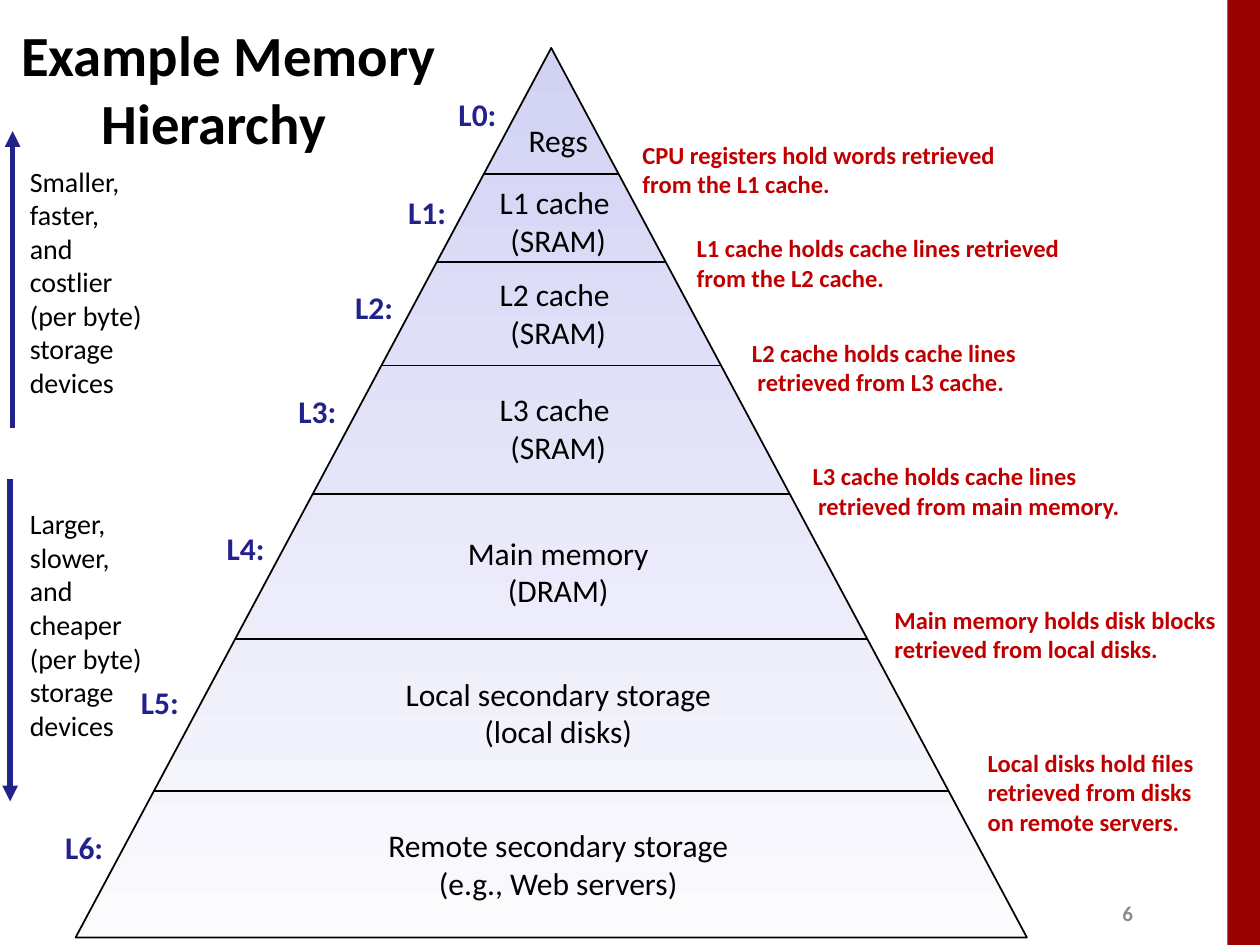
from lxml import etree
from pptx import Presentation
from pptx import util as u
from pptx.dml import color
from pptx.enum import shapes, text
from pptx.oxml import ns

FONT = "Calibri"
BLACK, BLUE, RED = "000000", "22228B", "C00000"
APEX_X, APEX_Y = 315, 27.4
PYRAMID_WIDTH, PYRAMID_HEIGHT = 543.6, 508.3
CAPTION_X = 319

# caption lines, caption (top, width, height), label (left, top), tier bottom
TIERS = [
    (["Regs"], (65.5, 49, 29), (254.9, 50.4), 99.4),
    (["L1 cache ", "(SRAM)"], (100.8, 83, 51), (226.1, 106.6), 149.8),
    (["L2 cache ", "(SRAM)"], (153.4, 83, 51), (195.8, 160.6), 208.8),
    (["L3 cache ", "(SRAM)"], (218.9, 83, 51), (163.4, 220.3), 282.2),
    (["Main memory", "(DRAM)"], (301, 119, 51), (122.4, 298.8), 365),
    (["Local secondary storage", "(local disks)"], (381.6, 192, 51), (73.4, 386.6), 452.2),
    (["Remote secondary storage", "(e.g., Web servers)"], (468, 212, 51), (30.2, 469.4), None),
]

NOTES = [
    (["CPU registers hold words retrieved from the L1 cache."], (360, 76.3, 229.7, 41)),
    (["L1 cache holds cache lines retrieved from the L2 cache."], (391, 129.6, 223.2, 41)),
    (["L2 cache holds cache lines", " retrieved from L3 cache."], (422.6, 189.4, 207.4, 41)),
    (["L3 cache holds cache lines", " retrieved from main memory."], (457.2, 260, 226.8, 41)),
    (["Main memory holds disk blocks retrieved from local disks."], (504, 342, 200.9, 41)),
    (["Local disks hold files retrieved from disks", "on remote servers."], (557.3, 423.4, 162.7, 58.3)),
]

TRENDS = [
    (["Smaller,", "faster,", "and", "costlier", "(per byte)", "storage", "devices"],
     (10, 89.3, 79.2, 143.3), (7.2, 244.8), (7.2, 74.9)),
    (["Larger,", "slower,", "and", "cheaper", "(per byte)", "storage", "devices"],
     (10, 285.1, 79.2, 143.3), (5.8, 273.6), (5.8, 457.9)),
]


def rgb(value):
    return color.RGBColor.from_string(value)


def assign(target, values):
    for name, value in values.items():
        setattr(target, name, value)


def add_text(page, lines, place, size, ink=BLACK, bold=False, wrap=True,
             align=text.PP_ALIGN.LEFT, indents=()):
    box = page.shapes.add_textbox(*map(u.Pt, place))
    frame = box.text_frame
    assign(frame, {"word_wrap": wrap, "vertical_anchor": text.MSO_ANCHOR.MIDDLE,
                   "auto_size": text.MSO_AUTO_SIZE.NONE})
    for index, line in enumerate(lines):
        para = frame.add_paragraph() if index else frame.paragraphs[0]
        para.alignment = align
        span = para.add_run()
        span.text = line
        assign(span.font, {"name": FONT, "size": u.Pt(size), "bold": bold})
        span.font.color.rgb = rgb(ink)
        if indents:
            para._p.get_or_add_pPr().set("marL", str(u.Pt(indents[index])))
    return box


def add_line(page, start, end, ink=BLACK, width=1, arrow=False):
    line = page.shapes.add_connector(shapes.MSO_CONNECTOR.STRAIGHT,
                                     *map(u.Pt, (*start, *end)))
    line.line.color.rgb = rgb(ink)
    line.line.width = u.Pt(width)
    if arrow:
        etree.SubElement(line.line._get_or_add_ln(), ns.qn("a:tailEnd"), type="triangle")
    etree.SubElement(line._element.spPr, ns.qn("a:effectLst"))


def add_side_bar(page):
    bar = page.shapes.add_shape(shapes.MSO_SHAPE.RECTANGLE,
                                *map(u.Pt, (701.4, 0, 18.6, 540)))
    bar.shadow.inherit = False
    bar.fill.solid()
    bar.fill.fore_color.rgb = rgb("990000")
    bar.line.fill.background()


def add_pyramid(page):
    place = (APEX_X - PYRAMID_WIDTH / 2, APEX_Y, PYRAMID_WIDTH, PYRAMID_HEIGHT)
    pyramid = page.shapes.add_shape(shapes.MSO_SHAPE.ISOSCELES_TRIANGLE, *map(u.Pt, place))
    pyramid.shadow.inherit = False
    pyramid.fill.gradient()
    pyramid.fill.gradient_angle = 270
    for stop, value in zip(pyramid.fill.gradient_stops, ("D2D2F4", "FBFBFE")):
        stop.color.rgb = rgb(value)
    pyramid.line.color.rgb = rgb(BLACK)
    pyramid.line.width = u.Pt(1)


def add_tier(page, level, lines, caption, label, bottom):
    top, width, height = caption
    add_text(page, lines, (CAPTION_X - width / 2, top, width, height), 18,
             wrap=False, align=text.PP_ALIGN.CENTER)
    add_text(page, [f"L{level}:"], (*label, 36.7, 29), 18, BLUE, bold=True, wrap=False)
    if bottom:
        half = (bottom - APEX_Y) * PYRAMID_WIDTH / PYRAMID_HEIGHT / 2
        add_line(page, (APEX_X - half, bottom), (APEX_X + half, bottom))


def main():
    deck = Presentation()
    assign(deck, {"slide_width": u.Pt(720), "slide_height": u.Pt(540)})
    page = deck.slides.add_slide(deck.slide_layouts[6])
    add_side_bar(page)
    add_text(page, ["6"], (634.3, 511.2, 28.8, 21.6), 12, "8C8C8C", bold=True)
    add_text(page, ["Example Memory", "Hierarchy"], (5, 19.4, 691, 62), 32.4,
             bold=True, indents=(0, 46))
    add_pyramid(page)
    for level, tier in enumerate(TIERS):
        add_tier(page, level, *tier)
    for lines, place in NOTES:
        add_text(page, lines, place, 14, RED, bold=True)
    for lines, place, start, end in TRENDS:
        add_text(page, lines, place, 16, wrap=False)
        add_line(page, start, end, BLUE, 3, arrow=True)
    deck.save("out.pptx")


if __name__ == "__main__":
    main()
